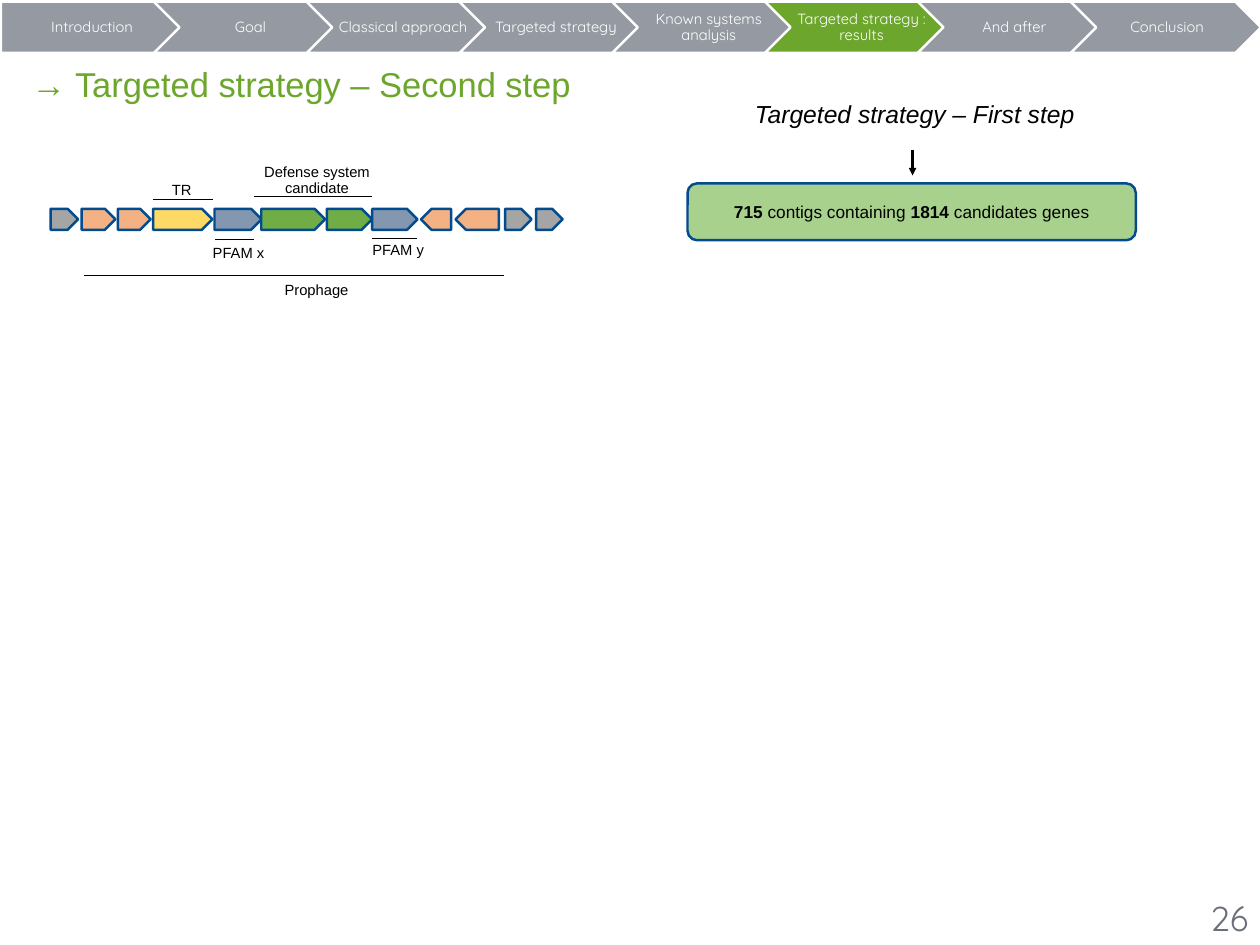
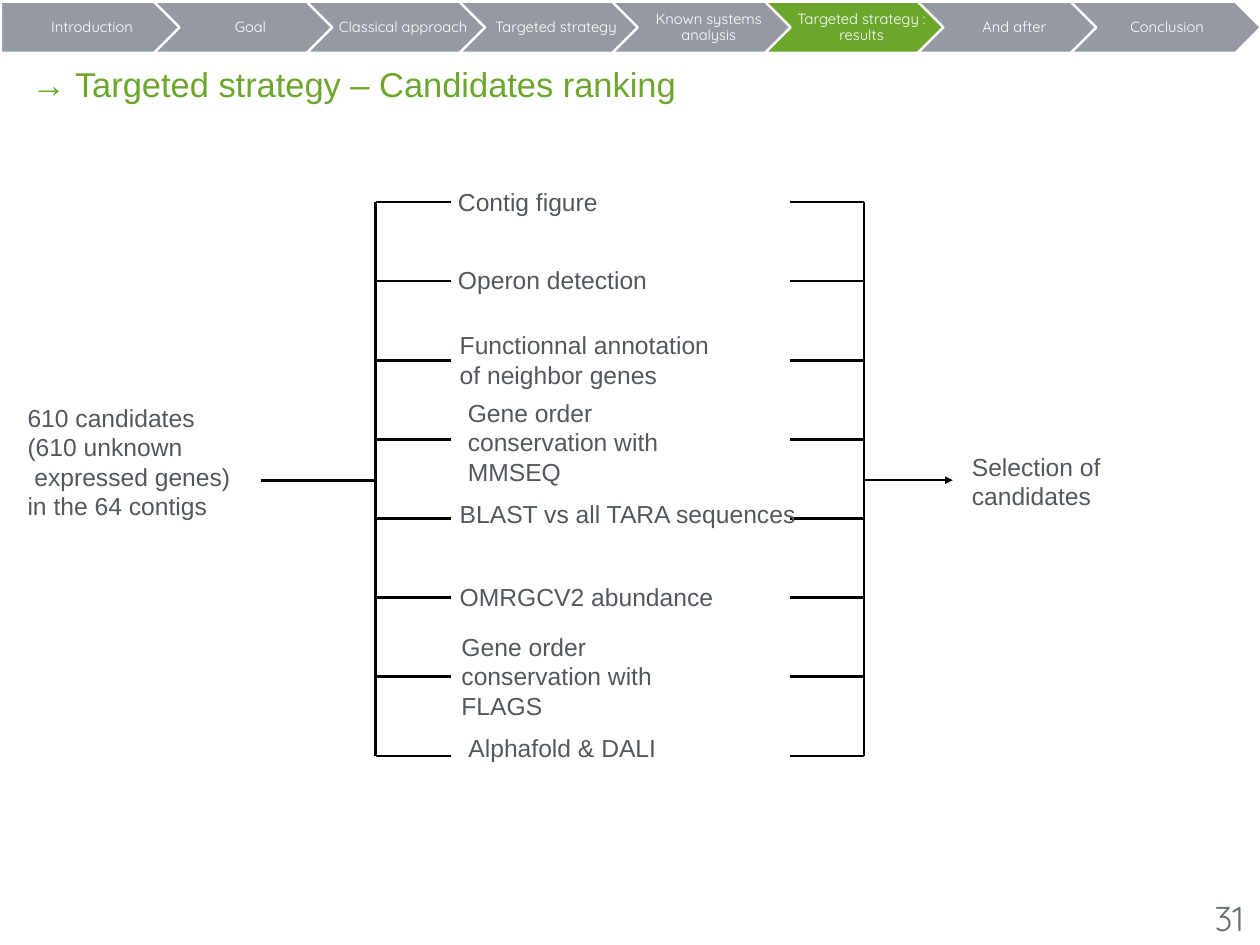
"""Build two slides on the targeted strategy and its ranking."""
import dataclasses

import lxml.etree
import pptx
import pptx.dml.color
import pptx.enum.shapes
import pptx.enum.text
import pptx.oxml.ns
import pptx.util

Cm = pptx.util.Cm
Pt = pptx.util.Pt
Kind = pptx.enum.shapes.MSO_SHAPE
Align = pptx.enum.text.PP_ALIGN
Anchor = pptx.enum.text.MSO_ANCHOR


@dataclasses.dataclass(frozen=True)
class Theme:
    """Hold the colours, fonts and type sizes of the deck."""

    white: str = "FFFFFF"
    black: str = "000000"
    band: str = "959AA2"
    green: str = "6CA62C"
    body: str = "53585F"
    page: str = "686F76"
    edge: str = "024B8E"
    pale: str = "A9D18E"
    grey: str = "A5A5A5"
    peach: str = "F4B183"
    gold: str = "FFD966"
    slate: str = "8497B0"
    leaf: str = "70AD47"
    font: str = "Arial"
    round: str = "Quicksand"
    title: int = 28
    text: int = 20
    box: int = 14
    small: int = 12


LOOK = Theme()
STEPS = ["Introduction", "Goal", "Classical approach", "Targeted strategy",
         "Known systems analysis", "Targeted strategy : results",
         "And after", "Conclusion"]
ACTIVE = 5

GENES = [
    (1.45, 0.79, LOOK.grey, 0),
    (2.34, 0.97, LOOK.peach, 0),
    (3.38, 0.94, LOOK.peach, 0),
    (4.39, 1.7, LOOK.gold, 0),
    (6.15, 1.35, LOOK.slate, 0),
    (7.49, 1.83, LOOK.leaf, 0),
    (9.37, 1.3, LOOK.leaf, 0),
    (10.67, 1.3, LOOK.slate, 0),
    (12.07, 0.86, LOOK.peach, 180),
    (13.06, 1.24, LOOK.peach, 180),
    (14.48, 0.76, LOOK.grey, 0),
    (15.37, 0.76, LOOK.grey, 0),
]

MARKS = [
    ("TR", (4.39, 6.1, 5.72), (4.32, 4.85, 1.78, 0.99)),
    ("Defense system candidate", (7.29, 10.67, 5.64), (7.11, 4.29, 3.96, 1.47)),
    ("PFAM x", (6.17, 7.29, 6.88), (5.72, 6.65, 2.24, 0.99)),
    ("PFAM y", (10.67, 11.96, 6.83), (10.41, 6.76, 2.01, 0.79)),
    ("Prophage", (2.41, 14.45, 7.9), (7.87, 7.39, 2.41, 1.3)),
]

TESTS = [
    ("Contig figure", (12.98, 5.21, 7.47, 1.14)),
    ("Operon detection", (12.98, 7.44, 7.87, 1.14)),
    ("Functionnal annotation of neighbor genes", (13.03, 9.32, 7.87, 2)),
    ("Gene order conservation with MMSEQ", (13.26, 11.68, 7.87, 2)),
    ("BLAST vs all TARA sequences", (13.03, 14.17, 11.35, 1.14)),
    ("OMRGCV2 abundance", (13.03, 16.54, 11.35, 1.14)),
    ("Gene order conservation with FLAGS", (13.08, 18.39, 7.87, 2)),
    ("Alphafold & DALI", (13.28, 20.88, 7.87, 1.14)),
]


def paint(hue):
    """Turn a hex string into a colour."""
    return pptx.dml.color.RGBColor.from_string(hue)


def write(frame, text, *, size=LOOK.text, hue=LOOK.body, font=LOOK.font,
          align=Align.LEFT, anchor=Anchor.MIDDLE, space=1.0, slant=False,
          pads=(0.15, 0.15, 0.15, 0.15), wrap=True):
    """Fill a frame with text; ** marks bold and a newline a paragraph."""
    frame.word_wrap = wrap
    frame.vertical_anchor = anchor
    (frame.margin_left, frame.margin_top,
     frame.margin_right, frame.margin_bottom) = map(Cm, pads)
    for row, line in enumerate(text.split("\n")):
        para = frame.add_paragraph() if row else frame.paragraphs[0]
        para.alignment = align
        para.line_spacing = space
        for turn, piece in enumerate(line.split("**")):
            if piece:
                run = para.add_run()
                run.text = piece
                run.font.name = font
                run.font.size = Pt(size)
                run.font.color.rgb = paint(hue)
                run.font.bold = turn % 2 == 1
                run.font.italic = slant


def label(slide, text, area, **form):
    """Add a text box over an area."""
    box = slide.shapes.add_textbox(*map(Cm, area))
    write(box.text_frame, text, **form)


def block(slide, kind, area, fill, edge=LOOK.edge, turn=0):
    """Add a filled and outlined shape."""
    shape = slide.shapes.add_shape(kind, *map(Cm, area))
    shape.shadow.inherit = False
    shape.fill.solid()
    shape.fill.fore_color.rgb = paint(fill)
    shape.line.color.rgb = paint(edge)
    shape.line.width = Pt(2)
    shape.rotation = turn
    return shape


def rule(slide, start, end, width=2.25, arrow=False):
    """Draw a straight black line, with an arrow if asked."""
    line = slide.shapes.add_connector(
        pptx.enum.shapes.MSO_CONNECTOR.STRAIGHT, *map(Cm, (*start, *end)))
    line.line.color.rgb = paint(LOOK.black)
    line.line.width = Pt(width)
    name = pptx.oxml.ns.qn
    props = line._element.spPr
    if arrow:
        lxml.etree.SubElement(props.find(name("a:ln")), name("a:tailEnd"),
                              type="triangle")
    lxml.etree.SubElement(props, name("a:effectLst"))


def begin(deck, title, page):
    """Add a slide with the step band, title and page number."""
    slide = deck.slides.add_slide(deck.slide_layouts[6])
    for place, step in enumerate(STEPS):
        shape = block(slide, Kind.CHEVRON if place else Kind.PENTAGON,
                      (0.03 + 4.38 * place, 0.05, 5.46, 1.47),
                      LOOK.green if place == ACTIVE else LOOK.band, LOOK.white)
        write(shape.text_frame, step, size=LOOK.small, hue=LOOK.white,
              font=LOOK.round, align=Align.CENTER, space=0.9,
              pads=(0.13 if place else 0.18, 0.1, 0.05, 0.1))
    label(slide, f"→ {title}", (0.76, 1.68, 32.28, 1.47),
          size=LOOK.title, hue=LOOK.green)
    label(slide, str(page), (34.54, 25.58, 1.4, 1.47), size=LOOK.title,
          hue=LOOK.page, font=LOOK.round, align=Align.CENTER, wrap=False)
    return slide


def second(deck):
    """Build the slide on the second step."""
    slide = begin(deck, "Targeted strategy – Second step", 26)
    for left, width, fill, turn in GENES:
        block(slide, Kind.PENTAGON, (left, 5.99, width, 0.6), fill, turn=turn)
    for text, (start, end, level), area in MARKS:
        rule(slide, (start, level), (end, level), width=0.75)
        label(slide, text, area, size=LOOK.small, hue=LOOK.black,
              align=Align.CENTER, anchor=Anchor.BOTTOM, space=0.9,
              pads=(0.25, 0.13, 0.25, 0.13))
    label(slide, "Targeted strategy – First step", (21.49, 2.69, 14.45, 1.14),
          hue=LOOK.black, slant=True)
    rule(slide, (26.16, 4.29), (26.16, 5.03), width=2, arrow=True)
    count = block(slide, Kind.ROUNDED_RECTANGLE,
                  (19.71, 5.26, 12.85, 1.63), LOOK.pale)
    write(count.text_frame,
          "**715** contigs containing **1814 **candidates genes",
          size=LOOK.box, hue=LOOK.black, align=Align.CENTER)


def ranking(deck):
    """Build the slide on the ranking of candidates."""
    slide = begin(deck, "Targeted strategy – Candidates ranking", 31)
    top, pitch, mid = 5.79, 2.27, 13.77
    base = top + pitch * (len(TESTS) - 1)
    for rail, tip in ((10.77, 12.92), (24.77, 22.66)):
        rule(slide, (rail, top), (rail, base))
        for row in range(len(TESTS)):
            level = top + pitch * row
            rule(slide, (rail, level), (tip, level))
    for text, area in TESTS:
        label(slide, text, area)
    label(slide, "610 candidates\n(610 unknown\n expressed genes) in the 64 contigs",
          (0.64, 11.38, 6.6, 3.71))
    rule(slide, (7.47, mid), (10.77, mid))
    rule(slide, (24.77, mid), (27.31, mid), width=2, arrow=True)
    label(slide, "Selection of candidates", (27.71, 12.8, 7.2, 2))


def main():
    """Build and save the deck."""
    deck = pptx.Presentation()
    deck.slide_width, deck.slide_height = Cm(36.12), Cm(27.1)
    second(deck)
    ranking(deck)
    deck.save("out.pptx")


if __name__ == "__main__":
    main()
